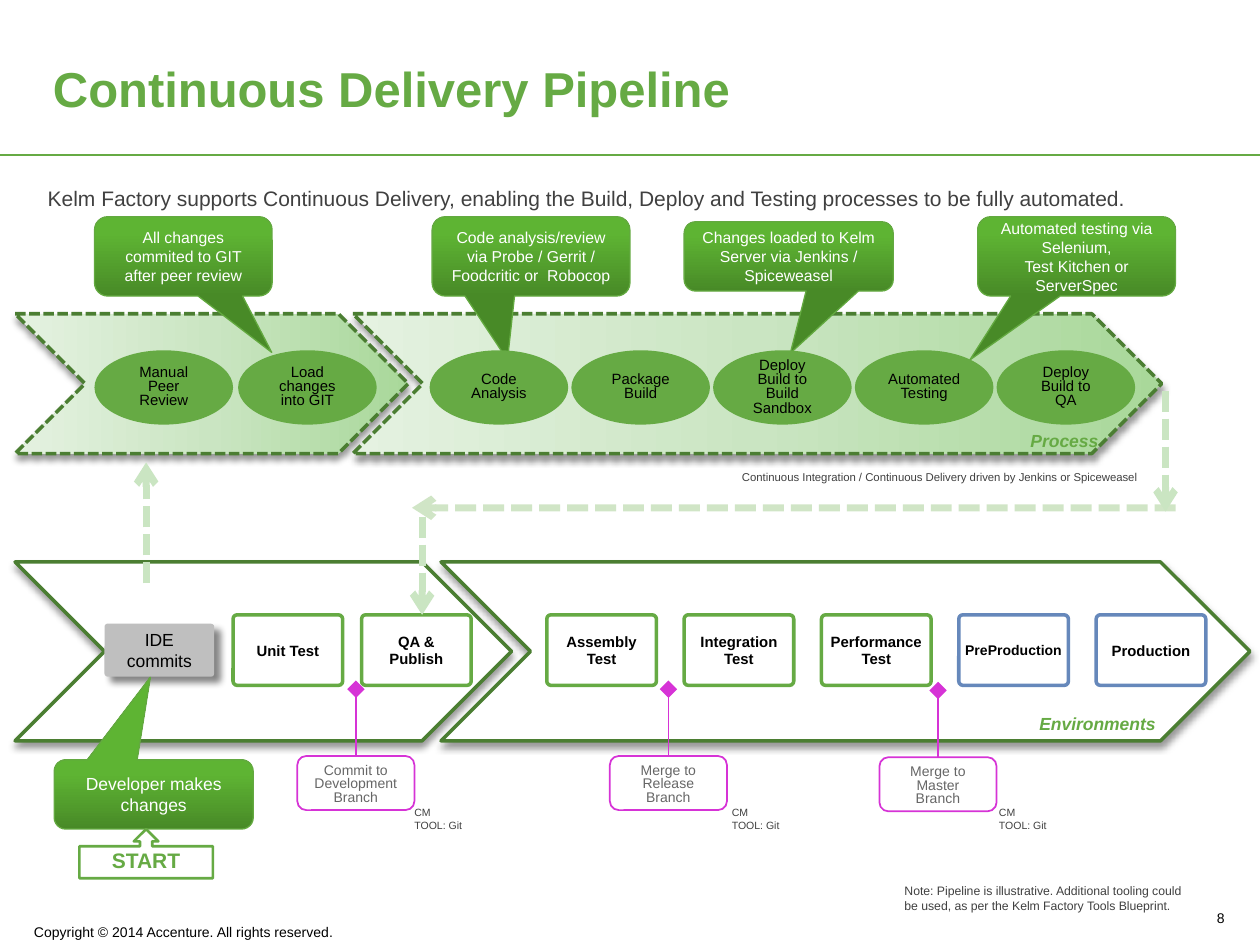
from lxml.etree import SubElement
from pptx import Presentation
from pptx.dml.color import RGBColor
from pptx.enum.dml import MSO_LINE
from pptx.enum.shapes import MSO_CONNECTOR, MSO_SHAPE
from pptx.enum.text import MSO_ANCHOR, PP_ALIGN
from pptx.oxml import parse_xml
from pptx.oxml.ns import nsdecls, qn
from pptx.util import Inches, Pt

GREEN, DARK_GREEN, PALE_GREEN = "66AA44", "4B7E32", "CAE5C2"
BLUE, MAGENTA, GREY = "6688BB", "D633D6", "404040"
CALLOUT_GRADIENT = ([(0, "488A27"), (80, "5EB433"), (100, "5EB731")], 270)
PROCESS_GRADIENT = ([(0, "A9D89A"), (50, PALE_GREEN), (100, "E5F2E1")], 180)
CHEVRON_SHADOW = (40, 4, 3, 90)
COMMIT_SHADOW = (47, 4, 5, 45)

TITLE = "Continuous Delivery Pipeline"
ENVIRONMENT_CHEVRONS = [(0.12, 4.46, 3.94, 1.42), (3.5, 4.46, 6.42, 1.42)]
PROCESS_CHEVRONS = [(0.12, 2.49, 3.12, 1.11), (2.8, 2.49, 6.42, 1.11)]
ENVIRONMENT_GROUPS = [
    (1.85, 1.02, [("Unit Test", GREEN, 8.5, 0.1), ("QA & Publish", GREEN, 8.5, 0.1)]),
    (4.34, 1.09, [("Assembly Test", GREEN, 8.5, 0.1), ("Integration Test", GREEN, 8.5, 0.1),
                  ("Performance Test", GREEN, 8.5, 0), ("PreProduction", BLUE, 8, 0),
                  ("Production", BLUE, 8.5, 0)]),
]
STEP_GROUPS = [
    (0.75, 1.14, ["Manual Peer Review", "Load changes into GIT"]),
    (3.41, 1.125, ["Code Analysis", "Package Build", "Deploy Build to Build Sandbox",
                   "Automated Testing", "Deploy Build to QA"]),
]
CALLOUTS = [
    ("Developer makes changes", (0.43, 6.03, 1.58, 0.55), (-0.017, -1.691), 10),
    ("Code analysis/review via Probe / Gerrit / Foodcritic or  Robocop",
     (3.43, 1.72, 1.57, 0.63), (-0.119, 1.306), 9),
    ("All changes commited to GIT after peer review",
     (0.75, 1.72, 1.41, 0.63), (0.498, 1.21), 9),
    ("Automated testing via Selenium,\nTest Kitchen or ServerSpec",
     (7.76, 1.72, 1.57, 0.63), (-0.54, 1.306), 9),
    ("Changes loaded to Kelm Server via Jenkins / Spiceweasel",
     (5.43, 1.76, 1.66, 0.55), (0.008, 1.397), 9),
]
FLOW_ARROWS = [
    ((1.16, 4.63), (1.16, 3.67), PALE_GREEN, None),
    ((3.35, 4.1), (3.35, 4.88), PALE_GREEN, None),
    ((9.33, 4.03), (3.27, 4.03), GREEN, 30),
    ((9.25, 3.1), (9.25, 4.06), PALE_GREEN, None),
]
BRANCHES = [
    ("Commit to Development Branch", 2.36, 6, 3.19),
    ("Merge to Release Branch", 4.84, 6, 5.71),
    ("Merge to Master Branch", 6.98, 6.01, 7.83),
]
TOOL = "CM\nTOOL: Git"
LANE_STYLE = {"size": 10, "color": GREEN, "bold": True, "italic": True}
FOOTER_STYLE = {"size": 8, "color": "000000", "insets": (0, 0.04, 0, 0)}
LABELS = [
    ("Process", (8.08, 3.36, 1.01, 0.27), LANE_STYLE),
    ("Environments", (8.15, 5.61, 1.25, 0.27), LANE_STYLE),
    ("Note: Pipeline is illustrative. Additional tooling could be used, as per the Kelm "
     "Factory Tools Blueprint.", (7.08, 6.96, 2.49, 0.34), {"size": 7}),
    ("Kelm Factory supports Continuous Delivery, enabling the Build, Deploy and Testing "
     "processes to be fully automated.", (0.28, 1.42, 9.65, 0.3), {"size": 12}),
    ("Continuous Integration / Continuous Delivery driven by Jenkins or Spiceweasel",
     (5.79, 3.68, 3.62, 0.31), {"size": 6.5}),
    ("Copyright © 2014 Accenture. All rights reserved.", (0.27, 7.29, 7.8, 0.25), FOOTER_STYLE),
    ("8", (9.29, 7.18, 0.43, 0.25), FOOTER_STYLE | {"align": PP_ALIGN.RIGHT}),
]


def paint(color_format, value):
    color_format.rgb = RGBColor.from_string(value)


def write(frame, text, size, color=GREY, bold=False, italic=False, align=PP_ALIGN.LEFT,
          anchor=MSO_ANCHOR.TOP, spacing=1.0, insets=(0.1, 0.05, 0.1, 0.05)):
    frame.text = text
    left, top, right, bottom = map(Inches, insets)
    frame_format = {"word_wrap": True, "vertical_anchor": anchor, "margin_left": left,
                    "margin_top": top, "margin_right": right, "margin_bottom": bottom}
    font_format = {"name": "Arial", "size": Pt(size), "bold": bold, "italic": italic}
    for key, value in frame_format.items():
        setattr(frame, key, value)
    for paragraph in frame.paragraphs:
        paragraph.alignment, paragraph.line_spacing = align, spacing
        for key, value in font_format.items():
            setattr(paragraph.font, key, value)
        paint(paragraph.font.color, color)


def draw(slide, kind, box, fill=None, line=None, width=1, dash=None, shadow=None,
         adjust=(), text=None, **style):
    shape = slide.shapes.add_shape(kind, *map(Inches, box))
    shape.shadow.inherit = False
    for index, value in enumerate(adjust):
        shape.adjustments[index] = value
    properties = shape._element.spPr
    if isinstance(fill, str):
        shape.fill.solid()
        paint(shape.fill.fore_color, fill)
    else:
        shape.fill.background()
    if isinstance(fill, tuple):
        colors, angle = fill
        stops = "".join(f'<a:gs pos="{at * 1000}"><a:srgbClr val="{color}"/></a:gs>'
                        for at, color in colors)
        properties.replace(properties.find(qn("a:noFill")), parse_xml(
            f'<a:gradFill {nsdecls("a")}><a:gsLst>{stops}</a:gsLst>'
            f'<a:lin ang="{angle * 60000}" scaled="0"/></a:gradFill>'))
    if line:
        shape.line.width = Pt(width)
        paint(shape.line.color, line)
        shape.line.dash_style = dash
    else:
        shape.line.fill.background()
    if shadow:
        alpha, blur, distance, direction = shadow
        properties.find(qn("a:effectLst")).append(parse_xml(
            f'<a:outerShdw {nsdecls("a")} blurRad="{Pt(blur)}" dist="{Pt(distance)}" '
            f'dir="{direction * 60000}" algn="ctr" rotWithShape="0"><a:srgbClr val="000000">'
            f'<a:alpha val="{alpha * 1000}"/></a:srgbClr></a:outerShdw>'))
    if text:
        write(shape.text_frame, text, **{"align": PP_ALIGN.CENTER,
                                         "anchor": MSO_ANCHOR.MIDDLE, **style})
    return shape


def connect(slide, start, end, color, width=1, dash=None, tip=None, alpha=None, source=None):
    connector = slide.shapes.add_connector(MSO_CONNECTOR.STRAIGHT, *map(Inches, start + end))
    if source is not None:
        connector.begin_connect(source, 0)
    connector.line.width = Pt(width)
    paint(connector.line.color, color)
    connector.line.dash_style = dash
    properties = connector._element.spPr
    stroke = properties.find(qn("a:ln"))
    if alpha:
        SubElement(stroke.find(".//" + qn("a:srgbClr")), qn("a:alpha"), val=str(alpha * 1000))
    if tip:
        scale = "lg" if tip == "diamond" else "med"
        SubElement(stroke, qn("a:tailEnd"), type=tip, w=scale, len=scale)
    SubElement(properties, qn("a:effectLst"))


def label(slide, text, box, **style):
    write(slide.shapes.add_textbox(*map(Inches, box)).text_frame, text, **style)


def main():
    """Build the continuous delivery pipeline slide."""
    deck = Presentation()
    deck.slide_width, deck.slide_height = Inches(10), Inches(7.5)
    slide = deck.slides.add_slide(deck.slide_layouts[5])
    title = slide.shapes.title
    title.left, title.top, title.width, title.height = map(Inches, (0.32, 0.14, 9.32, 0.85))
    write(title.text_frame, TITLE, 28, GREEN, bold=True, anchor=MSO_ANCHOR.BOTTOM, spacing=0.95)
    connect(slide, (0, 1.23), (10, 1.23), GREEN)

    for box in ENVIRONMENT_CHEVRONS:
        draw(slide, MSO_SHAPE.CHEVRON, box, "FFFFFF", DARK_GREEN, 2, shadow=CHEVRON_SHADOW)
    for box in PROCESS_CHEVRONS:
        draw(slide, MSO_SHAPE.CHEVRON, box, PROCESS_GRADIENT, DARK_GREEN, 2,
             MSO_LINE.SQUARE_DOT, CHEVRON_SHADOW)
    draw(slide, MSO_SHAPE.ROUNDED_RECTANGLE, (0.83, 4.95, 0.87, 0.42), "BFBFBF",
         shadow=COMMIT_SHADOW, adjust=[0.059], text="IDE commits", size=10, color="000000")
    for left, pitch, environments in ENVIRONMENT_GROUPS:
        for index, (name, outline, size, side) in enumerate(environments):
            draw(slide, MSO_SHAPE.ROUNDED_RECTANGLE, (left + index * pitch, 4.88, 0.87, 0.56),
                 line=outline, width=2, adjust=[0.059], text=name, size=size,
                 color="000000", bold=True, insets=(side, 0.05, side, 0.05))
    for message, box, pointer, size in CALLOUTS:
        draw(slide, MSO_SHAPE.ROUNDED_RECTANGULAR_CALLOUT, box, CALLOUT_GRADIENT, "63A940",
             0.75, adjust=(*pointer, 0.167), text=message, size=size, color="FFFFFF")
    for left, pitch, steps in STEP_GROUPS:
        for index, step in enumerate(steps):
            draw(slide, MSO_SHAPE.OVAL, (left + index * pitch, 2.78, 1.1, 0.59), GREEN,
                 text=step, size=8.5, color="000000", spacing=0.8)
    draw(slide, MSO_SHAPE.UP_ARROW_CALLOUT, (0.63, 6.58, 1.06, 0.39), "FFFFFF", GREEN, 1.5,
         text="START", size=12, color=GREEN, bold=True, spacing=0.8, anchor=MSO_ANCHOR.TOP)
    for start, end, color, alpha in FLOW_ARROWS:
        connect(slide, start, end, color, 4, MSO_LINE.SQUARE_DOT, "arrow", alpha)
    for action, left, top, tool_left in BRANCHES:
        branch = draw(slide, MSO_SHAPE.ROUNDED_RECTANGLE, (left, top, 0.93, 0.43),
                      line=MAGENTA, text=action, size=8, color="666666", spacing=0.8,
                      anchor=MSO_ANCHOR.TOP)
        center = left + 0.93 / 2
        connect(slide, (center, top), (center, top - 0.53), MAGENTA, tip="diamond", source=branch)
        label(slide, TOOL, (tool_left, 6.35, 0.71, 0.3), size=6)
    for text, box, style in LABELS:
        label(slide, text, box, **style)
    deck.save("out.pptx")


if __name__ == "__main__":
    main()
